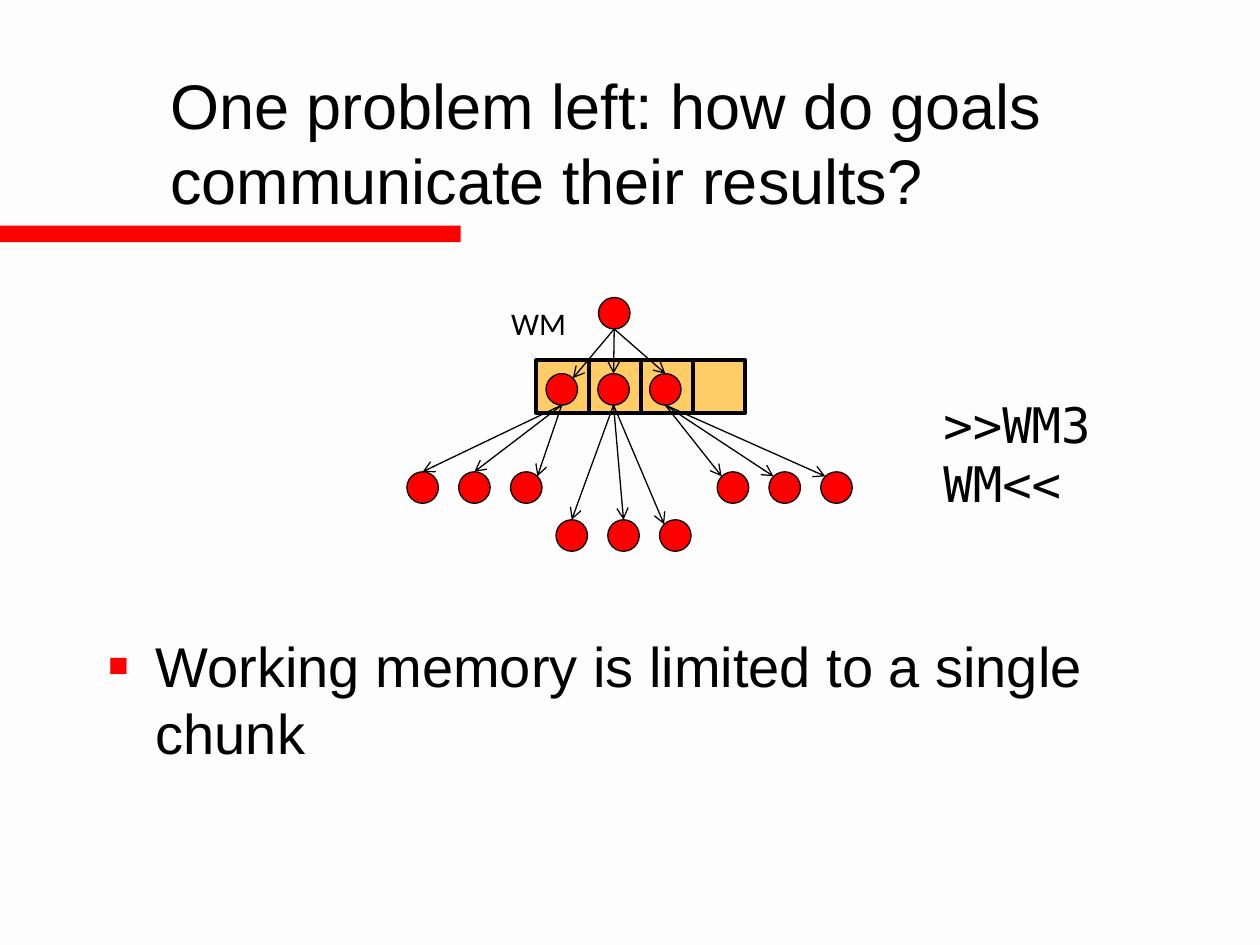
from lxml import etree
from pptx import Presentation
from pptx.dml.color import RGBColor
from pptx.enum.shapes import MSO_CONNECTOR, MSO_SHAPE
from pptx.enum.text import MSO_ANCHOR, MSO_AUTO_SIZE, PP_ALIGN
from pptx.oxml.ns import qn
from pptx.util import Pt

RECT, OVAL = MSO_SHAPE.RECTANGLE, MSO_SHAPE.OVAL
STRAIGHT = MSO_CONNECTOR.STRAIGHT
LEFT, TOP, MIDDLE = PP_ALIGN.LEFT, MSO_ANCHOR.TOP, MSO_ANCHOR.MIDDLE

COLORS = {
    "background": "FEFDFD",
    "red": "FF0000",
    "slot": "FFCC66",
    "black": "000000",
}

NODE = 18
SIBLING_STEP = 29.6
SLOT = 29.88
# Where an arrow meets a node, measured from the node's top left corner
N, NW, NE = (9, 0), (2.6, 2.6), (15.4, 2.6)
ROOT = (342, 170)
GOALS = (312, 213.5)
# First subgoal of each goal, and where the arrows meet its three subgoals
SUBGOALS = [
    ((232.5, 269.6), (N, N, NE)),
    ((317.7, 297), (N, N, NW)),
    ((409.8, 269.6), (NW, NW, NW)),
]


def rgb(name):
    return RGBColor.from_string(COLORS[name])


def write(shape, lines, size, font="Arial", color="black", anchor=TOP):
    tf = shape.text_frame
    tf.word_wrap = True
    tf.auto_size = MSO_AUTO_SIZE.NONE
    tf.vertical_anchor = anchor
    for i, line in enumerate(lines):
        p = tf.paragraphs[0] if i == 0 else tf.add_paragraph()
        p.alignment = LEFT
        r = p.add_run()
        r.text = line
        r.font.name, r.font.size = font, Pt(size)
        r.font.color.rgb = rgb(color)


def place(shape, x, y, w, h):
    shape.left, shape.top, shape.width, shape.height = Pt(x), Pt(y), Pt(w), Pt(h)


def add_label(shapes, box, lines, size, **fmt):
    write(shapes.add_textbox(*map(Pt, box)), lines, size, **fmt)


def add_box(shapes, kind, box, fill, line_width=0):
    sp = shapes.add_shape(kind, *map(Pt, box))
    sp.shadow.inherit = False
    sp.fill.solid()
    sp.fill.fore_color.rgb = rgb(fill)
    if line_width:
        sp.line.color.rgb = rgb("black")
        sp.line.width = Pt(line_width)
    else:
        sp.line.fill.background()


def add_arrow(shapes, start, end):
    cxn = shapes.add_connector(STRAIGHT, *map(Pt, (*start, *end)))
    cxn.line.color.rgb = rgb("black")
    cxn.line.width = Pt(0.75)
    etree.SubElement(cxn.line._get_or_add_ln(), qn("a:tailEnd"), type="arrow")
    etree.SubElement(cxn._element.spPr, qn("a:effectLst"))


def set_bullet(p):
    """Give the paragraph a small red square with a hanging indent."""
    pPr = p._p.get_or_add_pPr()
    pPr.set("marL", str(Pt(27)))
    pPr.set("indent", str(-Pt(27)))
    clr = etree.SubElement(pPr, qn("a:buClr"))
    etree.SubElement(clr, qn("a:srgbClr"), val=COLORS["red"])
    etree.SubElement(pPr, qn("a:buSzPct"), val="60000")
    etree.SubElement(pPr, qn("a:buFont"), typeface="Arial")
    etree.SubElement(pPr, qn("a:buChar"), char="■")


def siblings(first):
    x, y = first
    return [(x + i * SIBLING_STEP, y) for i in range(3)]


def add_branch(shapes, parent, children, contacts):
    """Draw the child nodes and an arrow to each from below the parent."""
    start = (parent[0] + NODE / 2, parent[1] + NODE)
    for (x, y), (dx, dy) in zip(children, contacts):
        add_box(shapes, OVAL, (x, y, NODE, NODE), "red", 0.75)
        add_arrow(shapes, start, (x + dx, y + dy))


def add_goal_tree(shapes):
    for i in range(4):
        add_box(shapes, RECT, (306.5 + i * SLOT, 206, SLOT, SLOT), "slot", 2.25)
    add_label(shapes, (285, 170, 90, 29), ["WM"], 18, font="Calibri")
    add_box(shapes, OVAL, (*ROOT, NODE, NODE), "red", 0.75)
    goals = siblings(GOALS)
    add_branch(shapes, ROOT, goals, (NE, N, N))
    for goal, (first, contacts) in zip(goals, SUBGOALS):
        add_branch(shapes, goal, siblings(first), contacts)


def main():
    prs = Presentation()
    prs.slide_width, prs.slide_height = Pt(720), Pt(540)
    s = prs.slides.add_slide(prs.slide_layouts[1])
    s.background.fill.solid()
    s.background.fill.fore_color.rgb = rgb("background")

    title, body = s.placeholders
    place(title, 90, 36, 612, 90)
    write(title, ["One problem left: how do goals communicate their results?"], 36,
          anchor=MIDDLE)
    place(body, 54.7, 357, 612, 106)
    write(body, ["Working memory is limited to a single chunk"], 32)
    set_bullet(body.text_frame.paragraphs[0])

    add_box(s.shapes, RECT, (0, 129, 263.3, 9.4), "red")
    add_goal_tree(s.shapes.add_group_shape().shapes)
    add_label(s.shapes, (532, 222, 170, 75), [">>WM3", "WM<<"], 28,
              font="DejaVu Sans Mono")
    prs.save("out.pptx")


if __name__ == "__main__":
    main()
